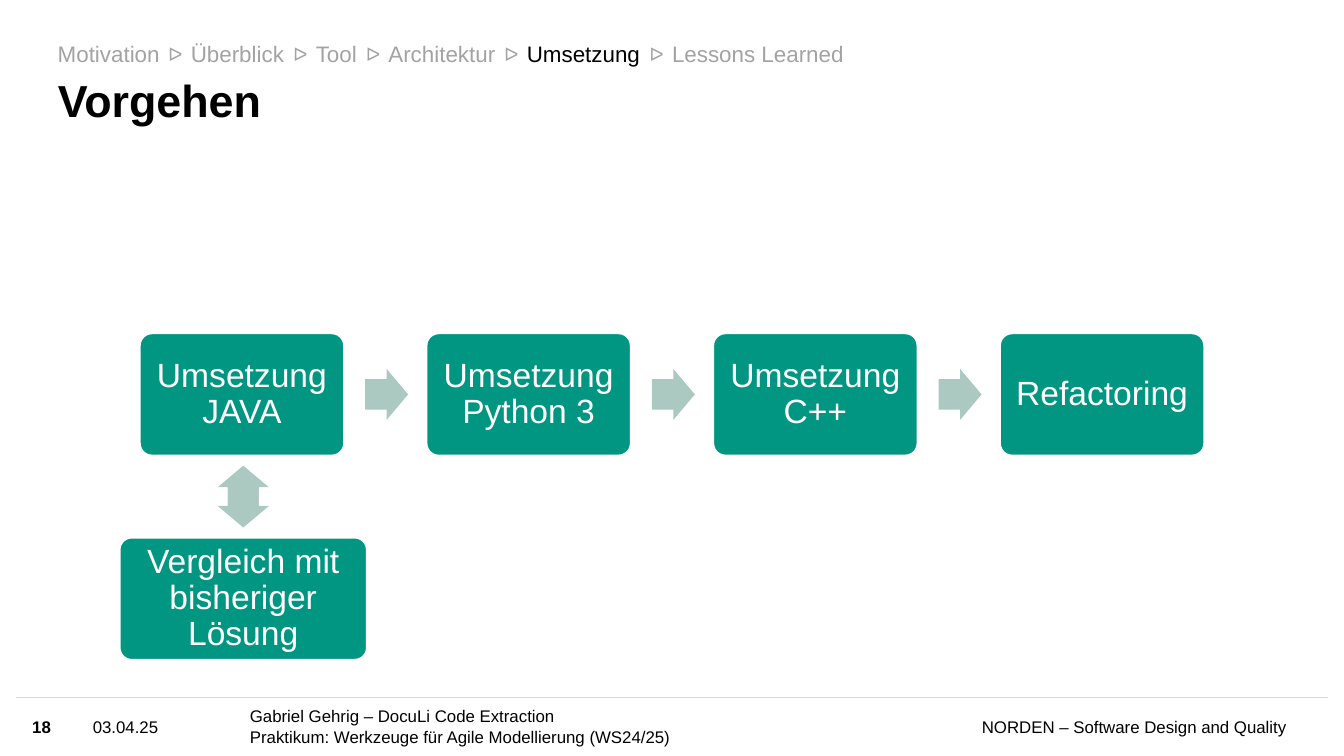
from dataclasses import dataclass

from lxml.etree import SubElement
from pptx import Presentation
from pptx.dml.color import RGBColor
from pptx.enum.shapes import MSO_CONNECTOR, MSO_SHAPE
from pptx.enum.text import MSO_ANCHOR, MSO_AUTO_SIZE, PP_ALIGN
from pptx.oxml.ns import qn
from pptx.util import Inches, Pt


@dataclass(frozen=True)
class Theme:
    font: str = "Arial"
    black: str = "000000"
    white: str = "FFFFFF"
    muted: str = "A3A3A3"
    rule: str = "D9D9D9"
    step: str = "009682"
    arrow: str = "ABC9C1"
    title_size: int = 24
    step_size: int = 18
    crumb_size: int = 12
    separator_size: int = 10
    footer_size: int = 9


THEME = Theme()


def write_text(shape, lines, size, color, bold=False, align=PP_ALIGN.LEFT,
               anchor=MSO_ANCHOR.MIDDLE, spacing=1.0, margins=(0, 0), wrap=True,
               auto_size=MSO_AUTO_SIZE.NONE):
    """Fill a shape with one paragraph per line; margins are (horizontal, vertical)."""
    frame = shape.text_frame
    horizontal, vertical = map(Inches, margins)
    frame_format = {
        "word_wrap": wrap, "vertical_anchor": anchor, "auto_size": auto_size,
        "margin_left": horizontal, "margin_right": horizontal,
        "margin_top": vertical, "margin_bottom": vertical,
    }
    for name, value in frame_format.items():
        setattr(frame, name, value)
    font_format = {"name": THEME.font, "size": Pt(size), "bold": bold}
    for index, line in enumerate(lines):
        paragraph = frame.paragraphs[0] if index == 0 else frame.add_paragraph()
        paragraph.alignment = align
        paragraph.line_spacing = spacing
        run = paragraph.add_run()
        run.text = line
        for name, value in font_format.items():
            setattr(run.font, name, value)
        run.font.color.rgb = RGBColor.from_string(color)


def add_text(slide, box, lines, size, color=THEME.black, **text_format):
    text_box = slide.shapes.add_textbox(*map(Inches, box))
    write_text(text_box, lines, size, color, **text_format)


def add_filled_shape(slide, kind, box, fill, adjustments):
    shape = slide.shapes.add_shape(kind, *map(Inches, box))
    shape.shadow.inherit = False
    shape.fill.solid()
    shape.fill.fore_color.rgb = RGBColor.from_string(fill)
    shape.line.fill.background()
    for index, value in enumerate(adjustments):
        shape.adjustments[index] = value
    return shape


def add_step(slide, box, label):
    step = add_filled_shape(slide, MSO_SHAPE.ROUNDED_RECTANGLE, box, THEME.step, [0.1])
    step.line.color.rgb = RGBColor.from_string(THEME.white)
    step.line.width = Pt(1)
    write_text(step, [label], THEME.step_size, THEME.white, align=PP_ALIGN.CENTER,
               spacing=0.9, margins=(0.06, 0.04))


def add_arrow(slide, center_x, center_y, rotation=0):
    width, height = 0.32, 0.38
    box = (center_x - width / 2, center_y - height / 2, width, height)
    arrow = add_filled_shape(slide, MSO_SHAPE.RIGHT_ARROW, box, THEME.arrow, [0.6, 0.5])
    arrow.rotation = rotation


def add_breadcrumb(slide, box, crumbs, current):
    """Place (label, width) pairs in a row, with a separator in each gap."""
    left, top, _, height = box
    gap, separator_width = 0.23, 0.32
    crumb_format = {"anchor": MSO_ANCHOR.TOP, "margins": (0, 0.05),
                    "auto_size": MSO_AUTO_SIZE.SHAPE_TO_FIT_TEXT}
    for index, (label, width) in enumerate(crumbs):
        if index:
            separator_left = left - (gap + separator_width) / 2
            add_text(slide, (separator_left, top + 0.02, separator_width, 0.27), ["ᐅ"],
                     THEME.separator_size, THEME.muted, align=PP_ALIGN.CENTER,
                     **crumb_format)
        color = THEME.black if label == current else THEME.muted
        add_text(slide, (left, top, width, height), [label], THEME.crumb_size, color,
                 wrap=False, **crumb_format)
        left += width + gap


def add_process(slide, box, labels, comparison):
    """Spread the steps over the box and hang the comparison below the first."""
    left, top, width, height = box
    step_width, step_height = 1.52, 0.91
    pitch = (width - step_width) / (len(labels) - 1)
    for index, label in enumerate(labels):
        step_left = left + index * pitch
        if index:
            add_arrow(slide, step_left - (pitch - step_width) / 2 + 0.01,
                      top + step_height / 2)
        add_step(slide, (step_left, top, step_width, step_height), label)

    comparison_width = 1.84
    center_x = left + step_width / 2 + 0.01
    comparison_top = top + height - step_height
    add_step(slide, (center_x - comparison_width / 2, comparison_top,
                     comparison_width, step_height), comparison)
    middle_y = (top + step_height + comparison_top) / 2
    for rotation, offset in ((90, 0.07), (270, -0.07)):
        add_arrow(slide, center_x, middle_y + offset, rotation)


def add_footer(slide, box, number, date, talk, institute):
    left, top, width, height = box
    rule = slide.shapes.add_connector(
        MSO_CONNECTOR.STRAIGHT, *map(Inches, (left, top, left + width, top)))
    rule.line.color.rgb = RGBColor.from_string(THEME.rule)
    rule.line.width = Pt(1)
    SubElement(rule._element.spPr, qn("a:effectLst"))
    columns = [
        (0.12, 0.36, [number], {"bold": True}),
        (0.57, 1.12, [date], {}),
        (1.74, 4.03, talk, {}),
        (5.9, 3.55, [institute], {"align": PP_ALIGN.RIGHT}),
    ]
    for offset, column_width, lines, text_format in columns:
        add_text(slide, (left + offset, top, column_width, height), lines,
                 THEME.footer_size, **text_format)


def main():
    presentation = Presentation()
    presentation.slide_width = Inches(10)
    presentation.slide_height = presentation.slide_width * 9 // 16
    slide = presentation.slides.add_slide(presentation.slide_layouts[6])

    crumbs = [("Motivation", 0.76), ("Überblick", 0.7), ("Tool", 0.31),
              ("Architektur", 0.8), ("Umsetzung", 0.85), ("Lessons Learned", 1.28)]
    add_breadcrumb(slide, (0.43, 0.25, 5.85, 0.3), crumbs, "Umsetzung")
    add_text(slide, (0.43, 0.32, 7.51, 0.63), ["Vorgehen"], THEME.title_size,
             bold=True, anchor=MSO_ANCHOR.BOTTOM, spacing=0.9)
    add_process(slide, (1.04, 2.48, 7.92, 2.43),
                ["Umsetzung JAVA", "Umsetzung Python 3", "Umsetzung C++", "Refactoring"],
                "Vergleich mit bisheriger Lösung")
    add_footer(slide, (0.12, 5.19, 9.76, 0.43), "18", "03.04.25",
               ["Gabriel Gehrig – DocuLi Code Extraction",
                "Praktikum: Werkzeuge für Agile Modellierung (WS24/25)"],
               "NORDEN – Software Design and Quality")
    presentation.save("out.pptx")


if __name__ == "__main__":
    main()
